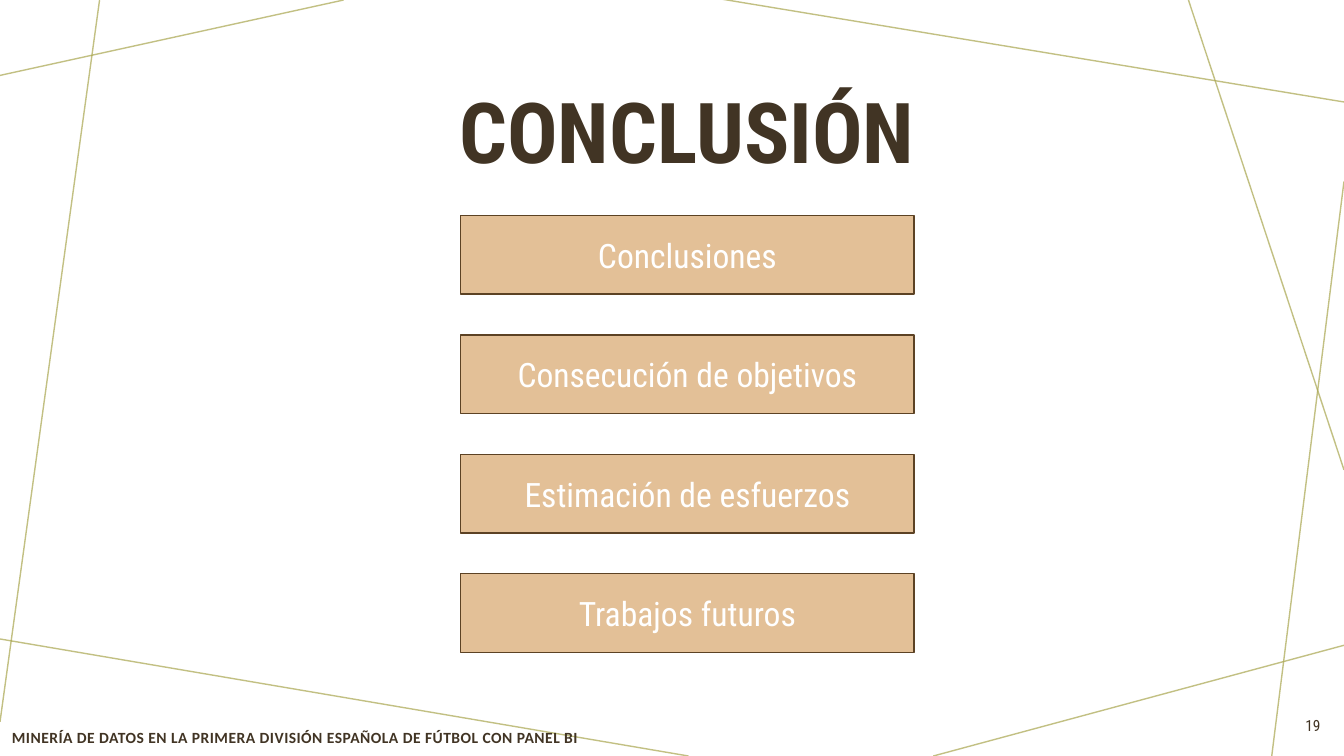
from lxml import etree
from pptx import Presentation
from pptx import util as u
from pptx.dml.color import RGBColor
from pptx.enum import shapes, text
from pptx.oxml.ns import qn

COLORS = {"olive": "A9A64F", "sand": "E3C097", "border": "5C4224",
          "dark": "413424", "white": "FFFFFF"}
CONDENSED = "Roboto Condensed"
ALIGN = text.PP_ALIGN
ANCHOR = text.MSO_ANCHOR


def write(shape, words, color, alignment, anchor, **font_format):
    """Fill a shape with one formatted paragraph and return that paragraph."""
    frame = shape.text_frame
    frame.word_wrap = True
    frame.vertical_anchor = anchor
    paragraph = frame.paragraphs[0]
    paragraph.alignment = alignment
    run = paragraph.add_run()
    run.text = words
    run.font.color.rgb = RGBColor.from_string(COLORS[color])
    for name, value in font_format.items():
        setattr(run.font, name, value)
    return paragraph


def add_label(left, top, width, height):
    return slide.shapes.add_textbox(u.Cm(left), u.Cm(top), u.Cm(width), u.Cm(height))


presentation = Presentation()
presentation.slide_width = u.Cm(33.87)
presentation.slide_height = u.Cm(19.05)
slide = presentation.slides.add_slide(presentation.slide_layouts[6])

# Crossing lines around the edges: start x, y, end x, y
edge_lines = [
    (8.66, 0, 0, 1.9),
    (2.51, 0, 0, 18.19),
    (17.35, 19.05, -0.13, 16.08),
    (33.87, 16.26, 23.52, 19.05),
    (33.87, 4.57, 32.05, 19.05),
    (33.87, 11.84, 29.95, 0),
    (33.87, 2.57, 18.14, -0.03),
]
for points in edge_lines:
    connector = slide.shapes.add_connector(
        shapes.MSO_CONNECTOR.STRAIGHT, *[u.Cm(value) for value in points])
    connector.line.width = u.Pt(1)
    connector.line.color.rgb = RGBColor.from_string(COLORS["olive"])
    properties = connector.element.spPr
    color_element = properties.find(".//" + qn("a:srgbClr"))
    etree.SubElement(color_element, qn("a:alpha"), val="70000")
    etree.SubElement(properties, qn("a:effectLst"))

# Title
title = write(add_label(10.82, 2.16, 12.98, 3.28), "CONCLUSIÓN", "dark",
              ALIGN.CENTER, ANCHOR.TOP, name=CONDENSED, size=u.Pt(60), bold=True)
title.line_spacing = 0.9

# Section boxes, evenly stacked
sections = ["Conclusiones", "Consecución de objetivos",
            "Estimación de esfuerzos", "Trabajos futuros"]
for index, section in enumerate(sections):
    box = slide.shapes.add_shape(
        shapes.MSO_SHAPE.RECTANGLE, u.Cm(11.61), u.Cm(5.43 + 3.01 * index),
        u.Cm(11.43), u.Cm(1.98))
    box.shadow.inherit = False
    box.fill.solid()
    box.fill.fore_color.rgb = RGBColor.from_string(COLORS["sand"])
    box.line.color.rgb = RGBColor.from_string(COLORS["border"])
    box.line.width = u.Pt(1)
    write(box, section, "white", ALIGN.CENTER, ANCHOR.MIDDLE,
          name=CONDENSED, size=u.Pt(24))

# Slide number and footer
write(add_label(32.23, 17.78, 1.3, 1.02), "19", "dark",
      ALIGN.RIGHT, ANCHOR.MIDDLE, name=CONDENSED, size=u.Pt(11))
footer = write(add_label(0.05, 18.06, 17.48, 1.02),
               "MINERÍA DE DATOS EN LA PRIMERA DIVISIÓN ESPAÑOLA DE FÚTBOL CON PANEL BI",
               "dark", ALIGN.LEFT, ANCHOR.MIDDLE,
               name="Calibri", size=u.Pt(11.1), bold=True)
footer.runs[0].font._element.set("spc", "30")

presentation.save("out.pptx")
